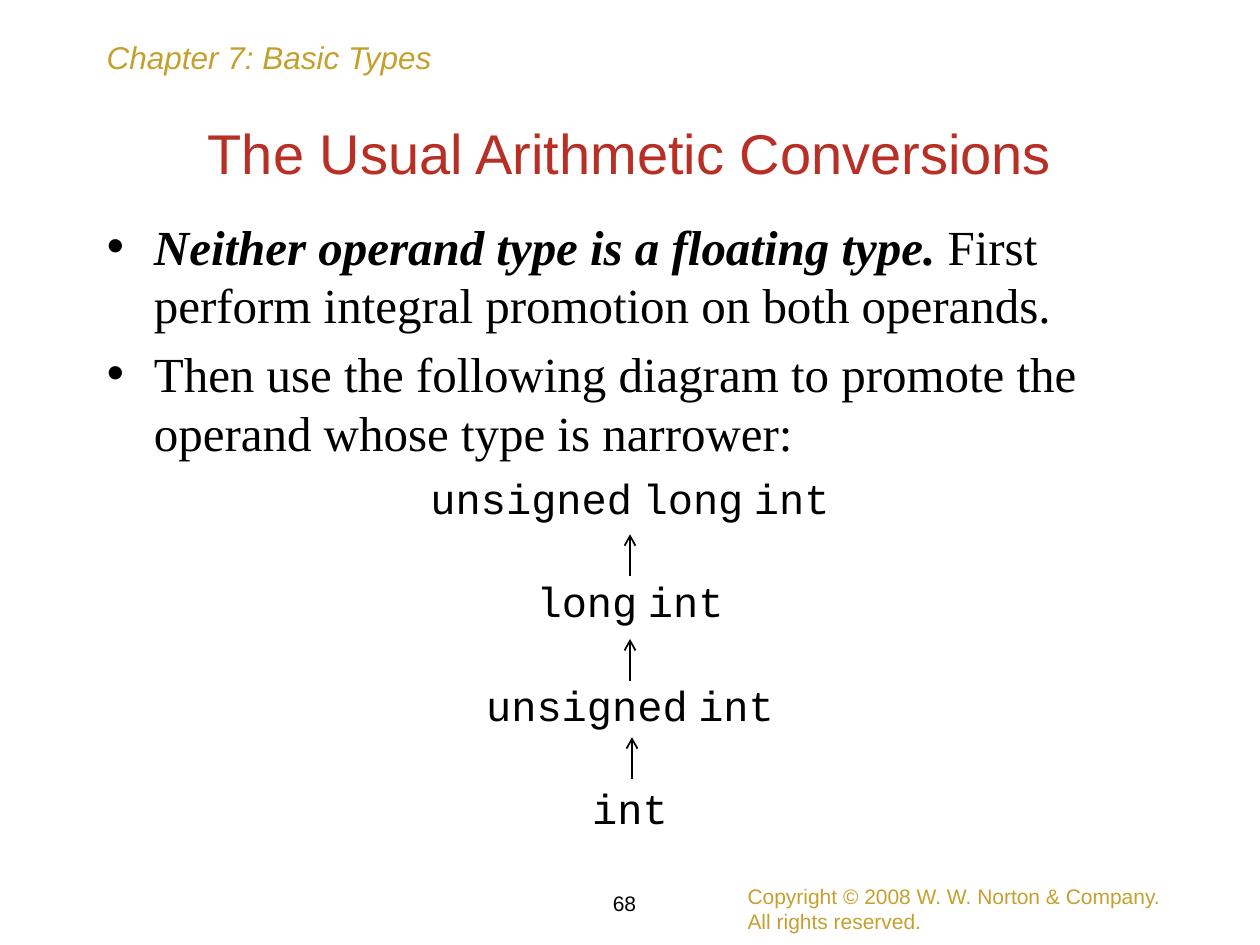
import pptx
import pptx.util
import pptx.dml.color
import pptx.enum.shapes
import pptx.enum.text
import pptx.oxml.ns
from lxml import etree

Cm = pptx.util.Cm
Pt = pptx.util.Pt
ALIGN = pptx.enum.text.PP_ALIGN
MID = pptx.enum.text.MSO_ANCHOR.MIDDLE
qn = pptx.oxml.ns.qn

GOLD, RED, BLACK = "C6A02E", "B82F25", "000000"
SANS, SERIF, MONO = "Arial", "Times New Roman", "Courier New"


def color(code):
    """Turn a hex string into a colour."""
    return pptx.dml.color.RGBColor.from_string(code)


class Deck:
    """Hold the style and the current slide."""

    def __init__(self):
        """Open a deck with one titled slide."""
        self.file = pptx.Presentation()
        self.file.slide_width, self.file.slide_height = Cm(25.4), Cm(19.05)
        self.slide = self.file.slides.add_slide(self.file.slide_layouts[1])

    def place(self, shape, left, top, width, height):
        """Move and size a shape."""
        shape.left, shape.top = Cm(left), Cm(top)
        shape.width, shape.height = Cm(width), Cm(height)
        shape.text_frame.auto_size = pptx.enum.text.MSO_AUTO_SIZE.NONE
        return shape.text_frame

    def style(self, run, size, face, code, bold=False, slant=False):
        """Format one run."""
        font = run.font
        font.size, font.name = Pt(size), face
        font.bold, font.italic = bold, slant
        font.color.rgb = color(code)

    def title(self, text):
        """Fill the title."""
        frame = self.place(self.slide.shapes.title, 1.9, 2.12, 21.6, 1.9)
        frame.text = text
        frame.vertical_anchor = MID
        frame.paragraphs[0].alignment = ALIGN.CENTER
        self.style(frame.paragraphs[0].runs[0], 32, SANS, RED)

    def note(self, text, box, size=12, code=GOLD, slant=False, align=ALIGN.LEFT):
        """Add a small text box."""
        frame = self.place(self.slide.shapes.add_textbox(0, 0, 0, 0), *box)
        frame.word_wrap = False
        frame.vertical_anchor = MID
        frame.text = text
        for para in frame.paragraphs:
            para.alignment = align
            self.style(para.runs[0], size, SANS, code, slant=slant)

    def body(self, points, types):
        """Fill the body with bullets and a column of type names."""
        frame = self.place(self.slide.placeholders[1], 1.9, 4.23, 21.6, 13.34)
        frame.text = "\n".join([""] * (len(points) + len(types)))
        paras = frame.paragraphs
        for i, (para, (lead, rest)) in enumerate(zip(paras, points)):
            self.bullet(para, "•", 0.95)
            para.space_before = Pt(5.6 if i else 0)
            for text, bold in ((lead, True), (rest, False)):
                if text:
                    run = para.add_run()
                    run.text = text
                    self.style(run, 28, SERIF, BLACK, bold, bold)
        for i, (para, name) in enumerate(zip(paras[len(points):], types)):
            self.bullet(para, None, 0)
            para.alignment = ALIGN.CENTER
            para.line_spacing = 0.8
            para.space_before = Pt(36 if i else 12)
            for j, word in enumerate(name.split()):
                for text, face in ((" ", SERIF), (word, MONO))[0 if j else 1:]:
                    run = para.add_run()
                    run.text = text
                    self.style(run, 24, face, BLACK)

    def bullet(self, para, mark, hang):
        """Set the bullet and hanging indent of a paragraph."""
        props = para._p.get_or_add_pPr()
        props.set("marL", str(Cm(hang)))
        props.set("indent", str(-Cm(hang)))
        if mark:
            etree.SubElement(props, qn("a:buChar")).set("char", mark)
        else:
            etree.SubElement(props, qn("a:buNone"))

    def arrow(self, x, low, high):
        """Draw an upward arrow."""
        kind = pptx.enum.shapes.MSO_CONNECTOR.STRAIGHT
        line = self.slide.shapes.add_connector(kind, Cm(x), Cm(low), Cm(x), Cm(high))
        line.line.color.rgb = color(BLACK)
        line.line.width = Pt(1)
        edge = line.line._get_or_add_ln()
        etree.SubElement(edge, qn("a:tailEnd")).set("type", "arrow")
        etree.SubElement(line._element.spPr, qn("a:effectLst"))


def main():
    """Build the slide."""
    deck = Deck()
    deck.note("Chapter 7: Basic Types", (1.9, 0.64, 9.1, 1.02), 18, slant=True)
    deck.title("The Usual Arithmetic Conversions")
    deck.body(
        [("Neither operand type is a floating type.",
          " First perform integral promotion on both operands."),
         ("", "Then use the following diagram to promote the operand "
              "whose type is narrower:")],
        ["unsigned long int", "long int", "unsigned int", "int"])
    deck.note("Copyright © 2008 W. W. Norton & Company.\nAll rights reserved.",
              (14.82, 17.68, 8.68, 1.27))
    deck.note("68", (11.64, 17.78, 1.9, 0.85), code=BLACK, align=ALIGN.CENTER)
    for x, low in ((12.7, 11.61), (12.7, 13.72), (12.74, 15.7)):
        deck.arrow(x, low, low - 0.84)
    deck.file.save("out.pptx")


if __name__ == "__main__":
    main()
